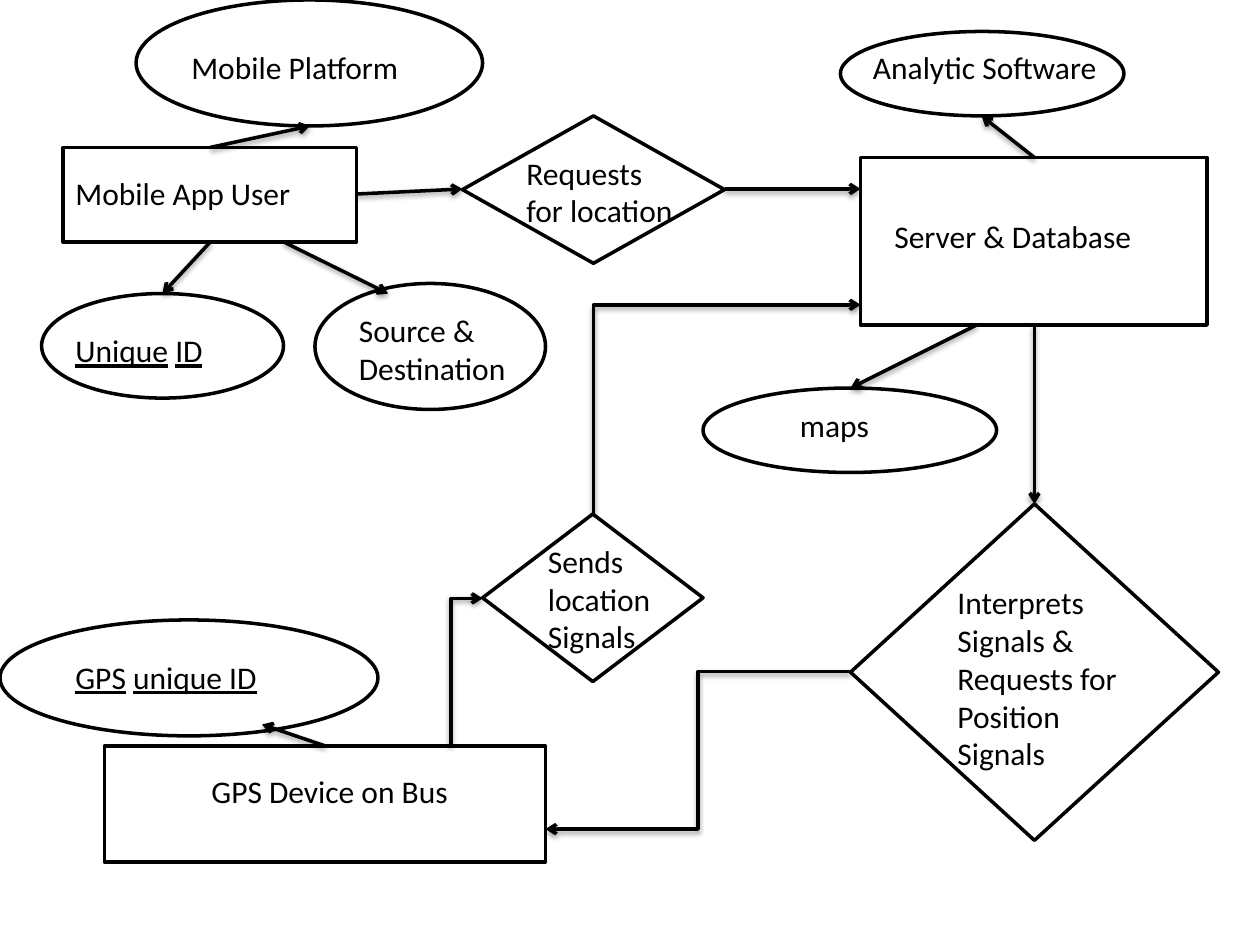
from lxml import etree
from pptx import Presentation
from pptx import util as u
from pptx.dml.color import RGBColor
from pptx.enum import shapes, text
from pptx.oxml.ns import qn

INK, PAPER = "000000", "FFFFFF"
FONT = "Calibri"
RECT = shapes.MSO_SHAPE.RECTANGLE
OVAL = shapes.MSO_SHAPE.OVAL
DIAMOND = shapes.MSO_SHAPE.FLOWCHART_DECISION
STRAIGHT, ELBOW = shapes.MSO_CONNECTOR.STRAIGHT, shapes.MSO_CONNECTOR.ELBOW

# kind, outline box, label box, label runs (text, underlined)
NODES = [
    (RECT, (0.5, 1.17, 2.33, 0.75), (0.5, 1.33, 2.33, 0.4), [("Mobile App User", False)]),
    (RECT, (6.83, 1.25, 2.75, 1.33), (7, 1.67, 2.42, 0.4), [("Server & Database", False)]),
    (RECT, (0.83, 5.92, 3.5, 0.92), (1.58, 6.08, 3, 0.4), [("GPS Device on Bus", False)]),
    (OVAL, (0.33, 2.33, 1.92, 0.83), (0.5, 2.58, 1.58, 0.4),
     [("Unique", True), (" ", False), ("ID", True)]),
    (OVAL, (6.67, 0.25, 2.25, 0.67), (6.83, 0.33, 2.25, 0.4), [("Analytic Software", False)]),
    (OVAL, (5.58, 3.08, 2.33, 0.67), (6.25, 3.17, 1.75, 0.4), [("maps", False)]),
    (OVAL, (0, 4.92, 3, 0.92), (0.5, 5.17, 2.58, 0.42),
     [("GPS", True), (" ", False), ("unique ID", True)]),
    (OVAL, (2.5, 2.25, 1.83, 1), (2.75, 2.42, 1.67, 0.71), [("Source & Destination", False)]),
    (OVAL, (1.08, 0, 2.75, 1), (1.42, 0.33, 2.42, 0.4), [("Mobile Platform", False)]),
    (DIAMOND, (3.67, 0.92, 2.08, 1.17), (4.08, 1.17, 1.42, 0.71),
     [("Requests for location", False)]),
    (DIAMOND, (6.75, 4, 2.92, 2.67), (7.5, 4.58, 1.58, 1.62),
     [("Interprets Signals & Requests for Position Signals", False)]),
    (DIAMOND, (3.83, 4.08, 1.75, 1.33), (4.25, 4.25, 1.17, 1.01),
     [("Sends location Signals", False)]),
]

# from x, from y, to x, to y
STRAIGHT_ARROWS = [
    (1.67, 1.92, 1.29, 2.33), (2.25, 1.92, 3.08, 2.33), (1.67, 1.17, 2.46, 1),
    (2.83, 1.54, 3.67, 1.5), (8.21, 2.58, 8.21, 4), (8.21, 1.25, 7.79, 0.92),
    (7.75, 2.58, 6.75, 3.08), (2.58, 5.92, 2.08, 5.75),
]
STEP_ARROWS = [(5.75, 1.5, 6.83, 1.5), (6.75, 5.33, 4.33, 6.58)]
CORNER_ARROWS = [(3.58, 5.92, 3.83, 4.75), (4.71, 4.08, 6.83, 2.42)]


def color(hex_string):
    """Turn a hex string into a colour."""
    return RGBColor.from_string(hex_string)


def inches(values):
    """Turn numbers into lengths."""
    return [u.Inches(value) for value in values]


def draw_line(line):
    """Give an outline or connector the diagram's stroke."""
    line.color.rgb = color(INK)
    line.width = u.Pt(2)


def add_outline(slide, kind, box):
    """Add the outline of an entity, attribute or relationship."""
    outline = slide.shapes.add_shape(kind, *inches(box))
    outline.shadow.inherit = False
    outline.fill.solid()
    outline.fill.fore_color.rgb = color(PAPER)
    draw_line(outline.line)


def add_label(slide, box, runs):
    """Add a wrapped label, underlining the key words."""
    frame = slide.shapes.add_textbox(*inches(box)).text_frame
    frame.word_wrap = True
    frame.auto_size = text.MSO_AUTO_SIZE.SHAPE_TO_FIT_TEXT
    paragraph = frame.paragraphs[0]
    paragraph.font.name = FONT
    paragraph.font.size = u.Pt(18)
    paragraph.font.color.rgb = color(INK)
    for words, underlined in runs:
        run = paragraph.add_run()
        run.text = words
        if underlined:
            run.font.underline = True


def add_arrow(slide, kind, ends):
    """Add a connector with an open arrowhead and a soft shadow."""
    arrow = slide.shapes.add_connector(kind, *inches(ends))
    draw_line(arrow.line)
    properties = arrow._element.spPr
    etree.SubElement(properties.find(qn("a:ln")), qn("a:tailEnd"), type="arrow")
    effects = etree.SubElement(properties, qn("a:effectLst"))
    shadow = etree.SubElement(
        effects, qn("a:outerShdw"), blurRad=str(u.Pt(3.1)), dist=str(u.Pt(1.6)),
        dir="5400000", rotWithShape="0")
    shade = etree.SubElement(shadow, qn("a:srgbClr"), val=INK)
    etree.SubElement(shade, qn("a:alpha"), val="38000")
    return arrow


def add_corner_arrow(slide, ends):
    """Add an arrow that goes up, then turns right once."""
    x1, y1, x2, y2 = ends
    run, rise = x2 - x1, y1 - y2
    left, top = (x1 + x2 - rise) / 2, (y1 + y2 - run) / 2
    arrow = add_arrow(slide, ELBOW, (left, top, left + rise, top + run))
    properties = arrow._element.spPr
    properties.find(qn("a:prstGeom")).set("prst", "bentConnector2")
    frame = properties.find(qn("a:xfrm"))
    for name, value in (("rot", "5400000"), ("flipH", "1"), ("flipV", "1")):
        frame.set(name, value)


def main():
    """Build the bus tracking diagram."""
    deck = Presentation()
    deck.slide_width, deck.slide_height = inches((10, 7.5))
    slide = deck.slides.add_slide(deck.slide_layouts[6])
    for kind, outline_box, label_box, runs in NODES:
        add_outline(slide, kind, outline_box)
        add_label(slide, label_box, runs)
    for ends in STRAIGHT_ARROWS:
        add_arrow(slide, STRAIGHT, ends)
    for ends in STEP_ARROWS:
        add_arrow(slide, ELBOW, ends)
    for ends in CORNER_ARROWS:
        add_corner_arrow(slide, ends)
    deck.save("out.pptx")


main()
